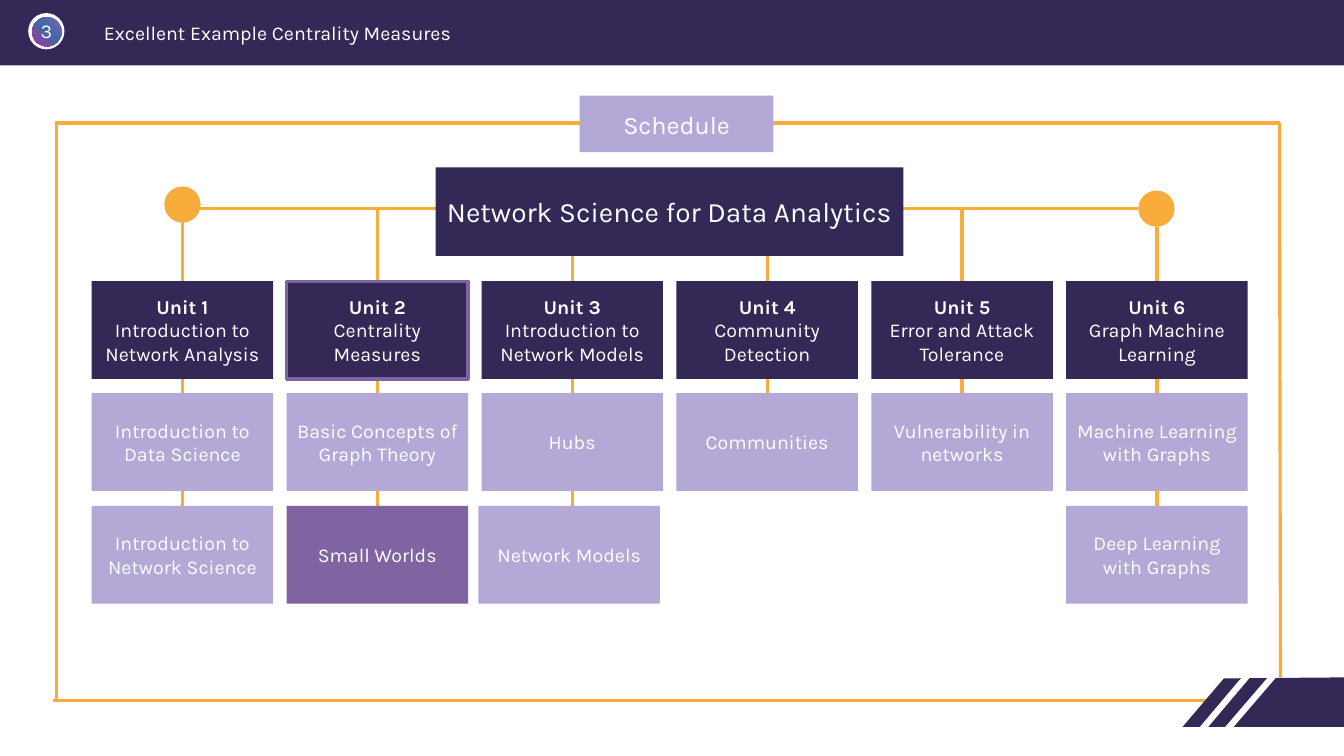
from copy import deepcopy
from typing import NamedTuple

from lxml import etree
from pptx import Presentation
from pptx.dml.color import RGBColor
from pptx.enum.shapes import MSO_CONNECTOR as Link, MSO_SHAPE as Kind
from pptx.enum.text import MSO_ANCHOR as Anchor, MSO_AUTO_SIZE as Fit, PP_ALIGN as Align
from pptx.oxml.ns import qn
from pptx.util import Inches, Pt

FONT = "Karla"
NAVY, LILAC, PLUM = "342956", "B4A9D6", "8064A2"
GOLD, WHITE = "F7AC3B", "FFFFFF"

# Grid of the chart
LEFT, STEP = 0.91, 1.933
WIDE, HIGH = 1.8, 0.97
ROWS = (2.79, 3.9, 5.02)


class Unit(NamedTuple):
    name: str
    topics: tuple[str, ...]
    stem: tuple[float, float]  # top and bottom of the upright line
    shift: float = 0.0  # nudge of the lowest box
    focus: bool = False


class Line(NamedTuple):
    x1: float
    y1: float
    x2: float
    y2: float
    hue: str = GOLD
    width: float = 2.25


UNITS = (
    Unit("Introduction to Network Analysis",
         ("Introduction to\nData Science", "Introduction to Network Science"), (2.19, 5.76)),
    Unit("Centrality\nMeasures",
         ("Basic Concepts of Graph Theory", "Small Worlds"), (2.07, 5.21), focus=True),
    Unit("Introduction to Network Models",
         ("Hubs", "Network Models"), (2.42, 5.76), shift=-0.03),
    Unit("Community Detection", ("Communities",), (2.19, 4.67)),
    Unit("Error and Attack Tolerance", ("Vulnerability in networks",), (2.07, 4.81)),
    Unit("Graph Machine Learning",
         ("Machine Learning with Graphs", "Deep Learning with Graphs"), (2.25, 5.76)),
)

FRAME = (
    Line(12.7, 6.72, 12.69, 1.22),
    Line(0.56, 6.95, 0.56, 1.2),
    Line(0.53, 6.95, 12.1, 6.95),
    Line(0.56, 1.22, 12.7, 1.22),
)
STRIPES = (
    Line(11.85, 7.32, 12.45, 6.61, WHITE, 4.5),
    Line(12.1, 7.32, 12.65, 6.68, WHITE, 4.5),
)

deck = Presentation()
deck.slide_width, deck.slide_height = Inches(13.33), Inches(7.5)
slide = deck.slides.add_slide(deck.slide_layouts[5])
shapes = slide.shapes


def paint(target, hue: str) -> None:
    """Give a fill or a font one solid colour."""
    if hasattr(target, "solid"):
        target.solid()
        target = target.fore_color
    else:
        target = target.color
    target.rgb = RGBColor.from_string(hue)


def write(shape, text: str, size: float = 14, align=Align.CENTER,
          anchor=Anchor.MIDDLE, head: bool = False, inset: float | None = None) -> None:
    """Set the text; with head, the first line is bold."""
    frame = shape.text_frame
    frame.word_wrap = True
    frame.auto_size = Fit.NONE
    frame.vertical_anchor = anchor
    if inset is not None:
        frame.margin_left = frame.margin_right = Inches(inset)
        frame.margin_top = frame.margin_bottom = Inches(inset)
    frame.text = text
    for i, par in enumerate(frame.paragraphs):
        par.alignment = align
        font = par.runs[0].font
        font.name, font.size = FONT, Pt(size)
        font.bold = head and i == 0
        paint(font, WHITE)


def block(x: float, y: float, w: float, h: float, hue: str, kind=Kind.RECTANGLE):
    shape = shapes.add_shape(kind, Inches(x), Inches(y), Inches(w), Inches(h))
    shape.shadow.inherit = False
    paint(shape.fill, hue)
    shape.line.fill.background()
    return shape


def draw(line: Line) -> None:
    ends = (Inches(v) for v in line[:4])
    link = shapes.add_connector(Link.STRAIGHT, *ends)
    link.line.width = Pt(line.width)
    paint(link.line.fill, line.hue)
    etree.SubElement(link.element.spPr, qn("a:effectLst"))


def badge() -> None:
    """Round page number with a three-colour blend."""
    block(0.28, 0.13, 0.36, 0.36, WHITE, Kind.OVAL)
    disc = block(0.32, 0.17, 0.29, 0.29, WHITE, Kind.OVAL)
    fill = disc.fill
    fill.gradient()
    fill.gradient_angle = 225
    stops = disc.element.spPr.find(f".//{qn('a:gsLst')}")
    stops.append(deepcopy(stops[-1]))
    blend = ((0, "7864B5"), (0.49, "4269A5"), (1, "B2329A"))
    for stop, (spot, hue) in zip(fill.gradient_stops, blend):
        stop.position = spot
        paint(stop, hue)
    box = shapes.add_textbox(Inches(0.28), Inches(0.19), Inches(0.36), Inches(0.24))
    write(box, "3", anchor=Anchor.TOP, inset=0)


def corner() -> None:
    """Slanted flag at the lower right."""
    pen = shapes.build_freeform(Inches(12.14), Inches(6.73), scale=1.0)
    points = ((13.33, 6.72), (13.33, 7.21), (11.73, 7.21))
    pen.add_line_segments([(Inches(x), Inches(y)) for x, y in points], close=True)
    flag = pen.convert_to_shape()
    flag.shadow.inherit = False
    paint(flag.fill, NAVY)
    flag.line.fill.background()


def column(i: int, unit: Unit) -> None:
    x = LEFT + i * STEP
    head = block(x, ROWS[0], WIDE, HIGH, NAVY)
    write(head, f"Unit {i + 1}\n{unit.name}", head=True)
    if unit.focus:
        paint(head.line.fill, PLUM)
        head.line.width = Pt(2.25)
    for row, topic in enumerate(unit.topics, 1):
        last = row == 2
        hue = PLUM if unit.focus and last else LILAC
        box = block(x + unit.shift * last, ROWS[row], WIDE, HIGH, hue)
        write(box, topic)


def main() -> None:
    # Header
    block(0, -0.03, 13.33, 0.68, NAVY)
    badge()
    title = shapes.title
    title.left, title.top = Inches(0.93), Inches(0.16)
    title.width, title.height = Inches(5.61), Inches(0.3)
    write(title, "Excellent Example Centrality Measures", align=Align.LEFT, anchor=Anchor.TOP)
    title.element.getparent().append(title.element)

    # Frame and corner
    for line in FRAME:
        draw(line)
    corner()
    for line in STRIPES:
        draw(line)
    write(block(5.75, 0.95, 1.92, 0.56, LILAC), "Schedule", size=18)

    # Links
    for i, unit in enumerate(UNITS):
        mid = LEFT + i * STEP + WIDE / 2
        draw(Line(mid, unit.stem[0], mid, unit.stem[1]))
    draw(Line(1.81, 2.07, 11.29, 2.07))
    for x, y in ((1.63, 1.85), (11.29, 1.89)):
        block(x, y, 0.36, 0.36, GOLD, Kind.OVAL)

    # Units and course name
    for i, unit in enumerate(UNITS):
        column(i, unit)
    write(block(4.32, 1.66, 4.64, 0.88, NAVY), "Network Science for Data Analytics", size=20)
    deck.save("out.pptx")


if __name__ == "__main__":
    main()
